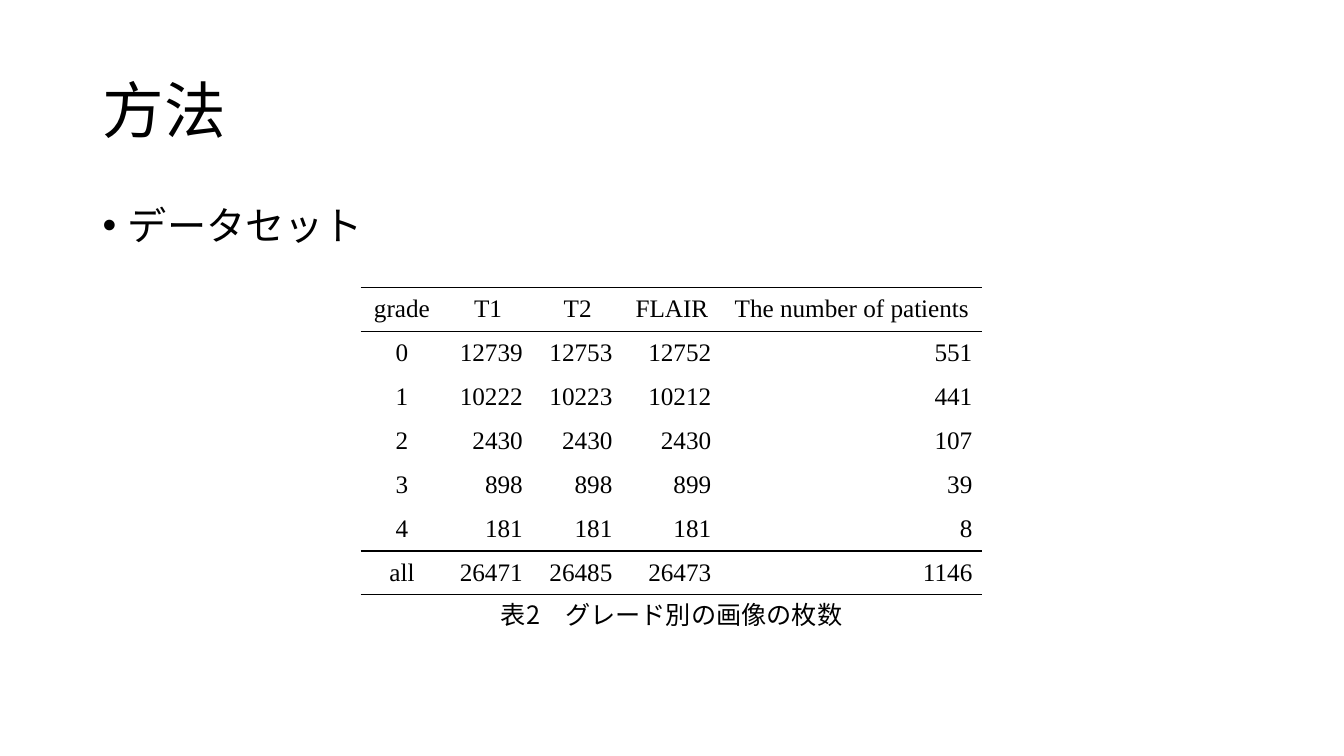
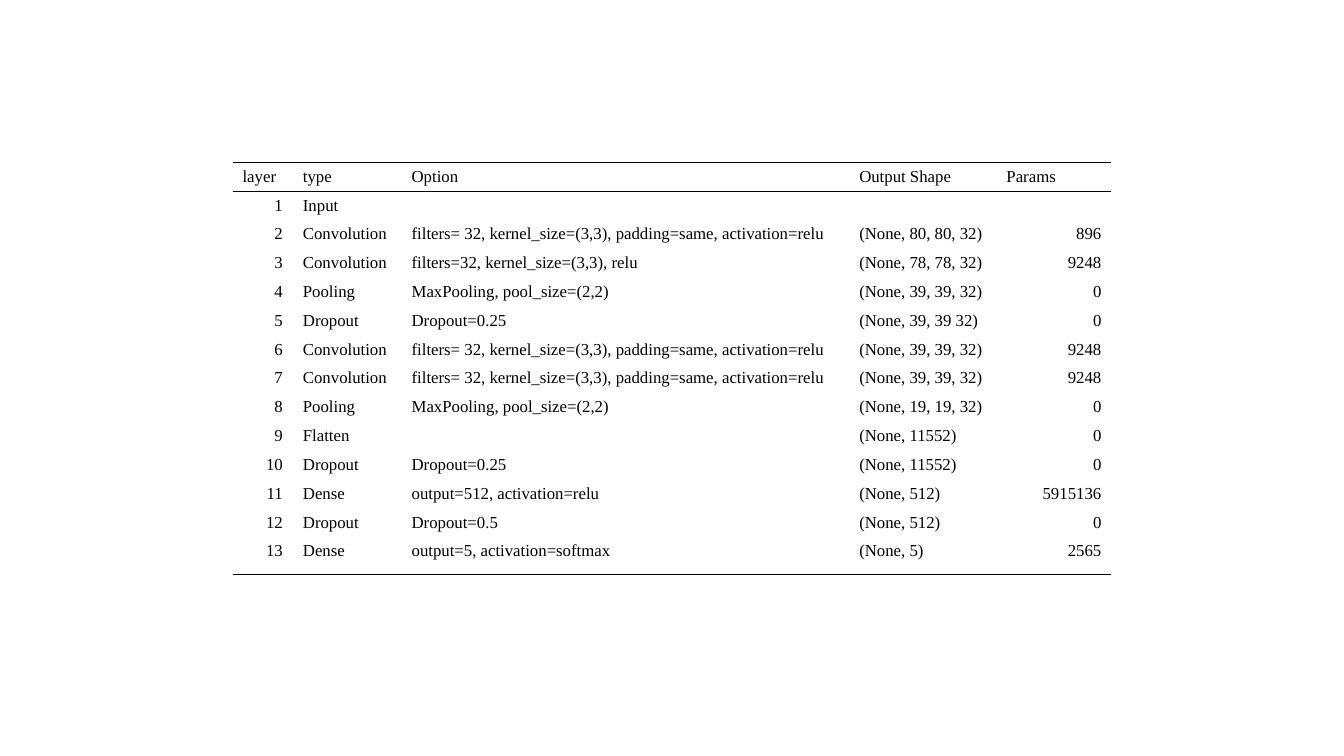
from lxml import etree
from pptx import Presentation
from pptx.dml.color import RGBColor
from pptx.enum import text as t
from pptx.oxml import ns
from pptx.util import Cm, Pt

BLACK, WHITE = "000000", "FFFFFF"
SANS, SERIF = "Noto Sans CJK JP", "Times New Roman"
ALIGN = {"l": t.PP_ALIGN.LEFT, "c": t.PP_ALIGN.CENTER, "r": t.PP_ALIGN.RIGHT}

GRADES = [
    ("grade", "T1", "T2", "FLAIR", "The number of patients"),
    ("0", "12739", "12753", "12752", "551"),
    ("1", "10222", "10223", "10212", "441"),
    ("2", "2430", "2430", "2430", "107"),
    ("3", "898", "898", "899", "39"),
    ("4", "181", "181", "181", "8"),
    ("all", "26471", "26485", "26473", "1146"),
]

CONV = "filters= 32, kernel_size=(3,3), padding=same, activation=relu"
POOL = "MaxPooling, pool_size=(2,2)"
LAYERS = [
    ("layer", "type", "Option", "Output Shape", "Params"),
    ("1", "Input", "", "", ""),
    ("2", "Convolution", CONV, "(None, 80, 80, 32)", "896"),
    ("3", "Convolution", "filters=32, kernel_size=(3,3), relu", "(None, 78, 78, 32)", "9248"),
    ("4", "Pooling", POOL, "(None, 39, 39, 32)", "0"),
    ("5", "Dropout", "Dropout=0.25", "(None, 39, 39 32)", "0"),
    ("6", "Convolution", CONV, "(None, 39, 39, 32)", "9248"),
    ("7", "Convolution", CONV, "(None, 39, 39, 32)", "9248"),
    ("8", "Pooling", POOL, "(None, 19, 19, 32)", "0"),
    ("9", "Flatten", "", "(None, 11552)", "0"),
    ("10", "Dropout", "Dropout=0.25", "(None, 11552)", "0"),
    ("11", "Dense", "output=512, activation=relu", "(None, 512)", "5915136"),
    ("12", "Dropout", "Dropout=0.5", "(None, 512)", "0"),
    ("13", "Dense", "output=5, activation=softmax", "(None, 5)", "2565"),
]


def rgb(value):
    """Turn a hex string into a colour."""
    return RGBColor.from_string(value)


def sub(parent, tag, **attrs):
    """Append a DrawingML element to its parent."""
    return etree.SubElement(parent, ns.qn(tag), attrs)


def add_run(p, words, size, font):
    """Add one black run in the given size and font."""
    r = p.add_run()
    r.text = words
    r.font.size = Pt(size)
    r.font.color.rgb = rgb(BLACK)
    r.font.name = font
    sub(r.font._element, "a:ea", typeface=font)


def place(sp, left, top, width, height):
    """Move a shape to a box given in centimetres."""
    sp.left, sp.top, sp.width, sp.height = map(Cm, (left, top, width, height))


def set_title(s, words, box):
    """Fill the title placeholder."""
    sp = s.shapes.title
    place(sp, *box)
    tf = sp.text_frame
    tf.vertical_anchor = t.MSO_ANCHOR.MIDDLE
    tf.auto_size = t.MSO_AUTO_SIZE.NONE
    p = tf.paragraphs[0]
    p.alignment = ALIGN["l"]
    p.line_spacing = 0.9
    add_run(p, words, 44, SANS)


def set_bullets(s, items, box):
    """Fill the body placeholder with a bulleted list."""
    sp = s.placeholders[1]
    place(sp, *box)
    tf = sp.text_frame
    tf.auto_size = t.MSO_AUTO_SIZE.NONE
    for i, words in enumerate(items):
        p = tf.add_paragraph() if i else tf.paragraphs[0]
        p.line_spacing = 0.9
        p.space_before = Pt(10 if i else 0)
        pPr = p._p.get_or_add_pPr()
        pPr.set("marL", str(Cm(0.64)))
        pPr.set("indent", str(-Cm(0.64)))
        sub(pPr, "a:buFont", typeface="Arial")
        sub(pPr, "a:buChar", char="•")
        add_run(p, words, 28, SANS)


def add_caption(s, words, box):
    """Add a centred caption under a table."""
    tf = s.shapes.add_textbox(*map(Cm, box)).text_frame
    tf.word_wrap = True
    tf.auto_size = t.MSO_AUTO_SIZE.SHAPE_TO_FIT_TEXT
    p = tf.paragraphs[0]
    p.alignment = ALIGN["c"]
    add_run(p, words, 18, SANS)


def set_borders(cell, above, below):
    """Rule a cell above and below where asked, and nowhere else."""
    tcPr = cell._tc.get_or_add_tcPr()
    for side, ruled in zip("LRTB", (False, False, above, below)):
        ln = sub(tcPr, f"a:ln{side}", w=str(Pt(1)))
        if ruled:
            sub(sub(ln, "a:solidFill"), "a:srgbClr", val=BLACK)
        else:
            sub(ln, "a:noFill")


def add_ruled_table(s, rows, left, top, widths, heights, rules, aligns, head, size, anchor):
    """Add a white table with horizontal rules at the given row edges."""
    box = map(Cm, (left, top, sum(widths), sum(heights)))
    table = s.shapes.add_table(len(rows), len(widths), *box).table
    table.first_row = table.horz_banding = False
    for column, width in zip(table.columns, widths):
        column.width = Cm(width)
    for i, (values, height) in enumerate(zip(rows, heights)):
        table.rows[i].height = Cm(height)
        for j, words in enumerate(values):
            cell = table.cell(i, j)
            set_borders(cell, i in rules, i + 1 in rules)
            cell.fill.solid()
            cell.fill.fore_color.rgb = rgb(WHITE)
            cell.vertical_anchor = anchor
            cell.margin_bottom = Cm(0.09 if anchor == t.MSO_ANCHOR.TOP else 0.13)
            p = cell.text_frame.paragraphs[0]
            p.alignment = ALIGN[aligns[j] if i else head]
            if words:
                add_run(p, words, size, SERIF)
            else:
                sub(p._p, "a:endParaRPr", sz=str(size * 100))


def dataset_slide(prs):
    """Build the slide with the number of images per grade."""
    s = prs.slides.add_slide(prs.slide_layouts[1])
    set_title(s, "方法", (2.33, 1.01, 29.21, 3.68))
    set_bullets(s, ["データセット"], (2.33, 5.07, 29.21, 12.09))
    left, top, height = 9.09, 7.24, 7.75
    widths = (2.08, 2.26, 2.26, 2.49, 6.58)
    heights = [height / len(GRADES)] * len(GRADES)
    add_ruled_table(s, GRADES, left, top, widths, heights, {0, 1, 6, 7},
                    "crrrr", "c", 18, t.MSO_ANCHOR.MIDDLE)
    add_caption(s, "表2　グレード別の画像の枚数", (left, top + height, sum(widths), 1.03))


def network_slide(prs):
    """Build the slide with the layers of the network."""
    s = prs.slides.add_slide(prs.slide_layouts[6])
    widths = (1.52, 2.74, 11.28, 3.71, 2.9)
    heights = [0.72] * (len(LAYERS) - 1) + [0.94]
    add_ruled_table(s, LAYERS, 5.86, 4.09, widths, heights, {0, 1, len(LAYERS)},
                    "rlllr", "l", 12, t.MSO_ANCHOR.TOP)


def main():
    """Build and save the presentation."""
    prs = Presentation()
    prs.slide_width, prs.slide_height = Cm(33.87), Cm(19.05)
    dataset_slide(prs)
    network_slide(prs)
    prs.save("out.pptx")


if __name__ == "__main__":
    main()
